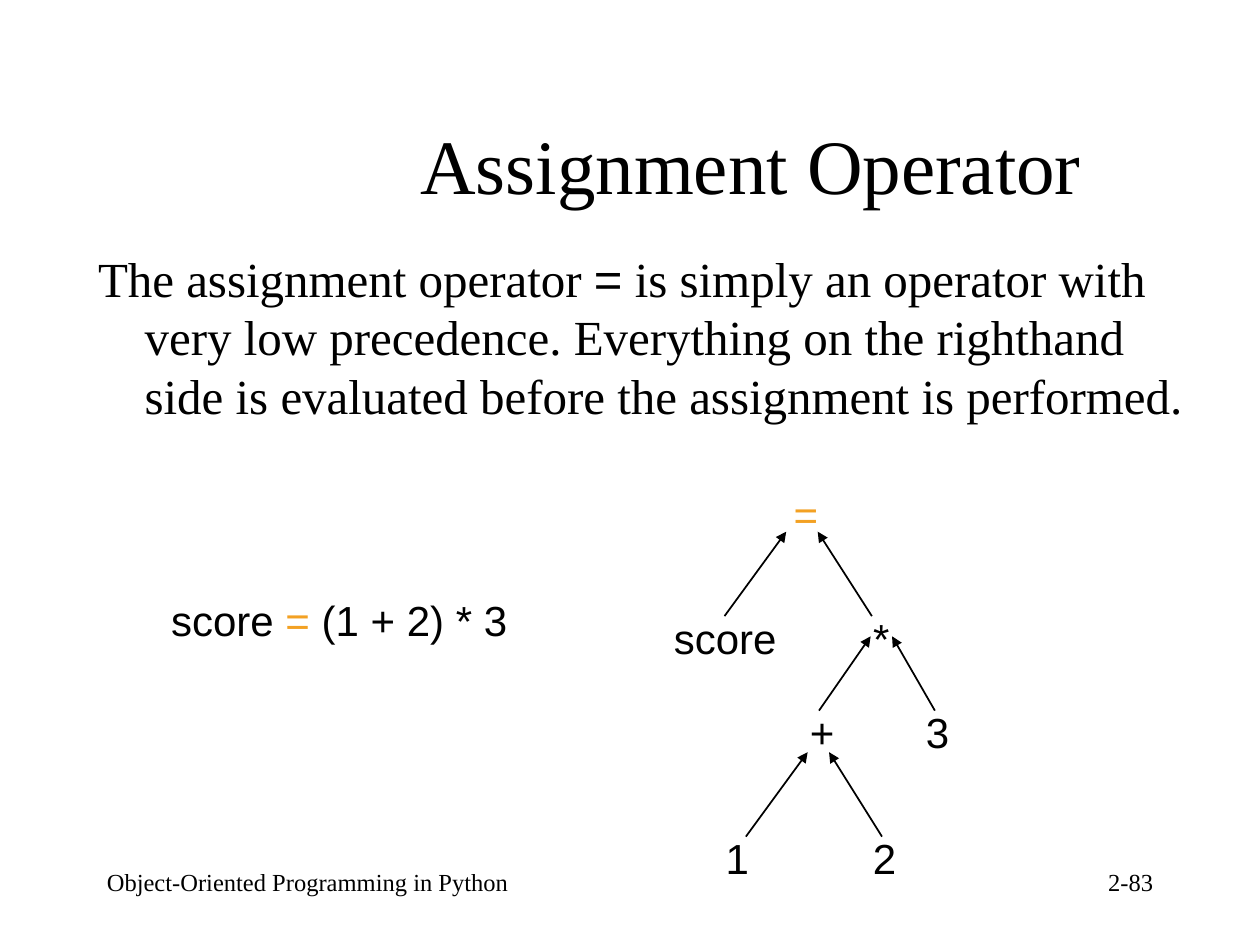
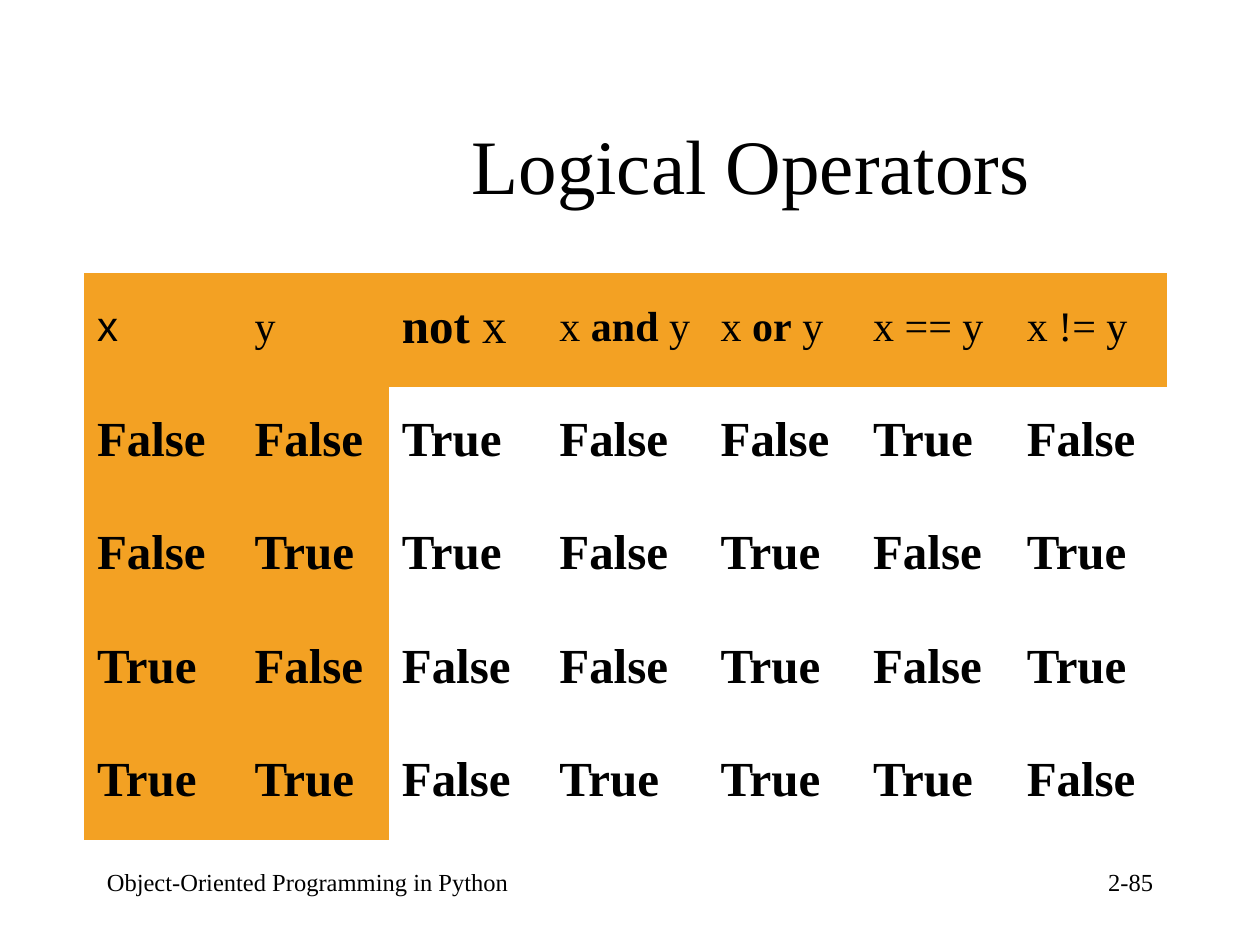
"""Build two slides on Python operators: an assignment tree and a truth table."""
from dataclasses import dataclass
from itertools import product
from typing import Any, Optional

import pptx
import pptx.dml.color
import pptx.enum.shapes
import pptx.enum.text
import pptx.oxml.ns
import pptx.util
from lxml import etree

Inches = pptx.util.Inches
RGBColor = pptx.dml.color.RGBColor
Align = pptx.enum.text.PP_ALIGN
Anchor = pptx.enum.text.MSO_ANCHOR

BLACK = RGBColor(0x00, 0x00, 0x00)
ORANGE = RGBColor(0xF3, 0xA1, 0x23)
SERIF = "Times New Roman"
SANS = "Arial"
FOOTER = "Object-Oriented Programming in Python"
PLAIN_TABLE = "{2D5ABB26-0587-4C30-8999-92F81FD0307C}"
BLANK_LAYOUT = 6


@dataclass(frozen=True)
class Area:
    """Place of an object on a slide, in inches."""
    left: float
    top: float
    width: float
    height: float

    def lengths(self) -> tuple:
        """Return the place as lengths."""
        return tuple(map(Inches, (self.left, self.top, self.width, self.height)))


@dataclass(frozen=True)
class Node:
    """Label in the expression tree."""
    text: str
    left: float
    top: float
    width: float = 0.38
    color: RGBColor = BLACK


@dataclass(frozen=True)
class Arrow:
    """Arrow from an operand up to its operator."""
    start: tuple[float, float]
    end: tuple[float, float]


@dataclass(frozen=True)
class Heading:
    """Column of the truth table with its header; bars enclose bold words."""
    text: str
    width: float
    size: int = 24
    font: str = SERIF
    spacing: float = 0.8


TITLE_AREA = Area(2.67, 0.67, 6.58, 1.25)
FOOTER_AREA = Area(0.75, 6.83, 5.83, 0.5)
NUMBER_AREA = Area(7.17, 6.83, 2.08, 0.5)
NODE_HEIGHT = 0.5

NODES = [
    Node("=", 6.2, 3.83, 0.39, ORANGE),
    Node("score", 5.23, 4.81, 1.05),
    Node("*", 6.83, 4.81, 0.33),
    Node("+", 6.33, 5.56, 0.39),
    Node("3", 7.25, 5.56),
    Node("1", 5.66, 6.56),
    Node("2", 6.83, 6.56),
]
ARROWS = [
    Arrow((5.75, 4.89), (6.24, 4.22)),
    Arrow((6.92, 4.89), (6.49, 4.22)),
    Arrow((6.5, 5.64), (6.91, 5.05)),
    Arrow((7.42, 5.64), (7.08, 5.05)),
    Arrow((5.92, 6.64), (6.41, 5.97)),
    Arrow((7, 6.64), (6.58, 5.97)),
]
HEADINGS = [
    Heading("x", 1.25, font=SANS, spacing=0.82),
    Heading("y", 1.17),
    Heading("|not| x", 1.25, size=28),
    Heading("x |and| y", 1.28),
    Heading("x |or| y", 1.21),
    Heading("x == y", 1.22),
    Heading("x != y", 1.21),
]
TABLE_LEFT, TABLE_TOP, ROW_HEIGHT = 0.67, 2.17, 0.9
INPUT_COLUMNS = 2


def write(frame: Any, text: str, *, size: float, font: str = SERIF,
          color: RGBColor = BLACK, bold: bool = False, align: Align = Align.LEFT,
          spacing: Optional[float] = None, hanging: bool = False,
          accent: Optional[dict] = None) -> None:
    """Write a paragraph, giving the accent format to words between bars."""
    para = frame.paragraphs[0]
    para.alignment = align
    if spacing:
        para.line_spacing = spacing
    if hanging:
        properties = para._p.get_or_add_pPr()
        properties.set("marL", str(Inches(0.38)))
        properties.set("indent", str(Inches(-0.37)))
    for index, piece in enumerate(text.split("|")):
        if not piece:
            continue
        look = {"font": font, "color": color, "bold": bold}
        if index % 2:
            look.update(accent or {})
        span = para.add_run()
        span.text = piece
        span.font.size = pptx.util.Pt(size)
        span.font.name = look["font"]
        span.font.bold = look["bold"]
        span.font.color.rgb = look["color"]


def add_text(shapes: Any, area: Area, text: str, *, wrap: bool = True,
             anchor: Anchor = Anchor.TOP, **look: Any) -> None:
    """Add a text box holding one paragraph."""
    frame = shapes.add_textbox(*area.lengths()).text_frame
    frame.word_wrap = wrap
    frame.vertical_anchor = anchor
    if not wrap:
        frame.auto_size = pptx.enum.text.MSO_AUTO_SIZE.SHAPE_TO_FIT_TEXT
    write(frame, text, **look)


def add_arrow(shapes: Any, arrow: Arrow) -> None:
    """Add a thin black arrow."""
    line = shapes.add_connector(pptx.enum.shapes.MSO_CONNECTOR.STRAIGHT,
                                *map(Inches, arrow.start + arrow.end))
    line.line.color.rgb = BLACK
    line.line.width = pptx.util.Pt(1)
    tag = pptx.oxml.ns.qn
    etree.SubElement(line.line._get_or_add_ln(), tag("a:tailEnd"), type="triangle")
    etree.SubElement(line._element.spPr, tag("a:effectLst"))


def add_page(deck: Any, title: str, number: str) -> Any:
    """Add a slide with its title, footer and page number."""
    page = deck.slides.add_slide(deck.slide_layouts[BLANK_LAYOUT])
    add_text(page.shapes, FOOTER_AREA, FOOTER, size=14)
    add_text(page.shapes, NUMBER_AREA, number, size=14, align=Align.RIGHT)
    add_text(page.shapes, TITLE_AREA, title, size=44, align=Align.CENTER,
             anchor=Anchor.MIDDLE)
    return page


def add_assignment_page(deck: Any) -> None:
    """Add the slide with the expression tree of an assignment."""
    page = add_page(deck, "Assignment Operator", "2-83")
    add_text(page.shapes, Area(1.25, 4.67, 3.5, 0.83), "score |=| (1 + 2) * 3",
             size=24, font=SANS, hanging=True, accent={"color": ORANGE})
    add_text(page.shapes, Area(0.67, 1.92, 8.83, 2.75),
             "The assignment operator |=| is simply an operator with very low "
             "precedence. Everything on the righthand side is evaluated before "
             "the assignment is performed.",
             size=28, hanging=True, accent={"font": SANS})
    tree = page.shapes.add_group_shape()
    for arrow in ARROWS:
        add_arrow(tree.shapes, arrow)
    for node in NODES:
        add_text(tree.shapes, Area(node.left, node.top, node.width, NODE_HEIGHT),
                 node.text, wrap=False, size=24, font=SANS, color=node.color,
                 align=Align.CENTER)


def fill_cell(cell: Any, text: str, shaded: bool, **look: Any) -> None:
    """Write a table cell and shade it if asked."""
    cell.vertical_anchor = Anchor.MIDDLE
    cell.margin_left = cell.margin_right = Inches(0.1)
    cell.margin_top = cell.margin_bottom = Inches(0.05)
    if shaded:
        cell.fill.solid()
        cell.fill.fore_color.rgb = ORANGE
    else:
        cell.fill.background()
    write(cell.text_frame, text, **look)


def add_logic_page(deck: Any) -> None:
    """Add the slide with the truth table."""
    page = add_page(deck, "Logical Operators", "2-85")
    truths = [(x, y, not x, x and y, x or y, x == y, x != y)
              for x, y in product((False, True), repeat=2)]
    row_count = len(truths) + 1
    area = Area(TABLE_LEFT, TABLE_TOP, sum(heading.width for heading in HEADINGS),
                row_count * ROW_HEIGHT)
    table = page.shapes.add_table(row_count, len(HEADINGS), *area.lengths()).table
    table.first_row = table.horz_banding = False
    table._tbl.tblPr.find(pptx.oxml.ns.qn("a:tableStyleId")).text = PLAIN_TABLE
    for column, heading in enumerate(HEADINGS):
        table.columns[column].width = Inches(heading.width)
        fill_cell(table.cell(0, column), heading.text, True, size=heading.size,
                  font=heading.font, spacing=heading.spacing, accent={"bold": True})
    for row, values in enumerate(truths, start=1):
        for column, value in enumerate(values):
            fill_cell(table.cell(row, column), str(value), column < INPUT_COLUMNS,
                      size=28, bold=True, spacing=0.8)


def main() -> None:
    """Build and save the deck."""
    deck = pptx.Presentation()
    deck.slide_width, deck.slide_height = Inches(10), Inches(7.5)
    add_assignment_page(deck)
    add_logic_page(deck)
    deck.save("out.pptx")


if __name__ == "__main__":
    main()
